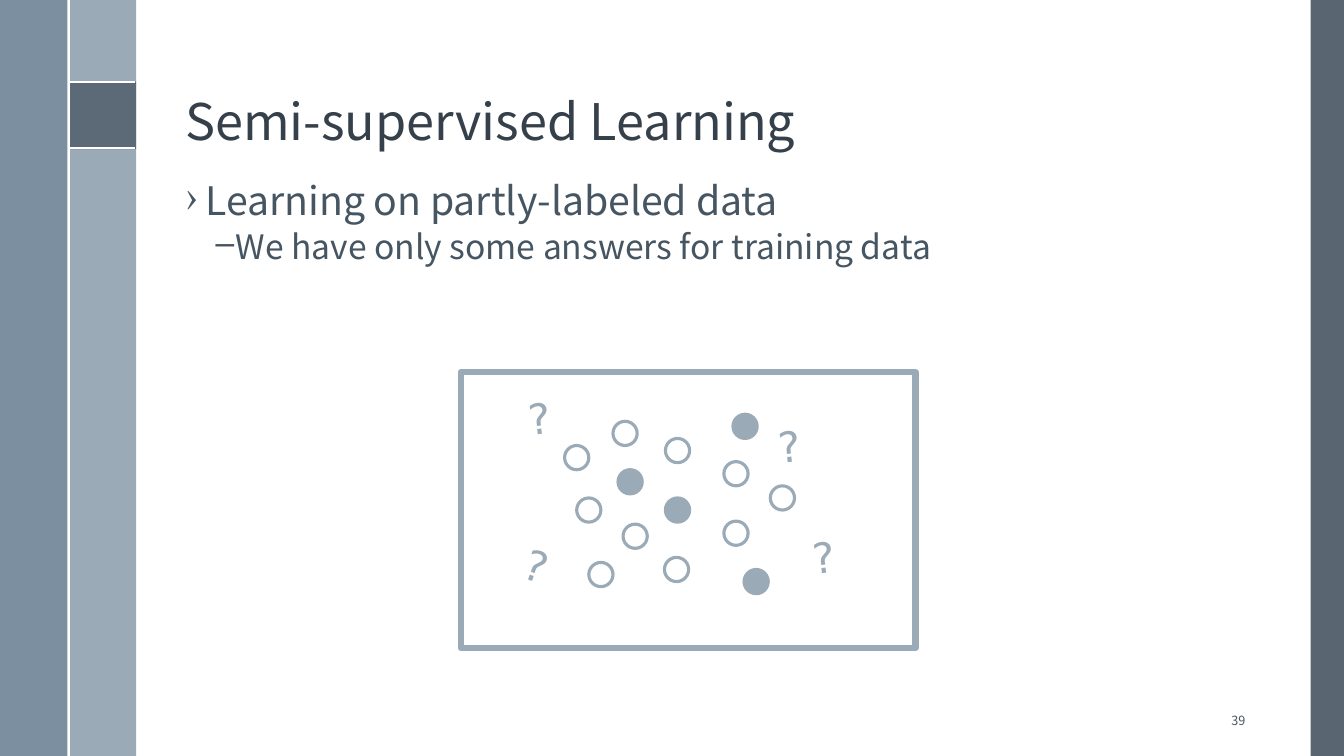
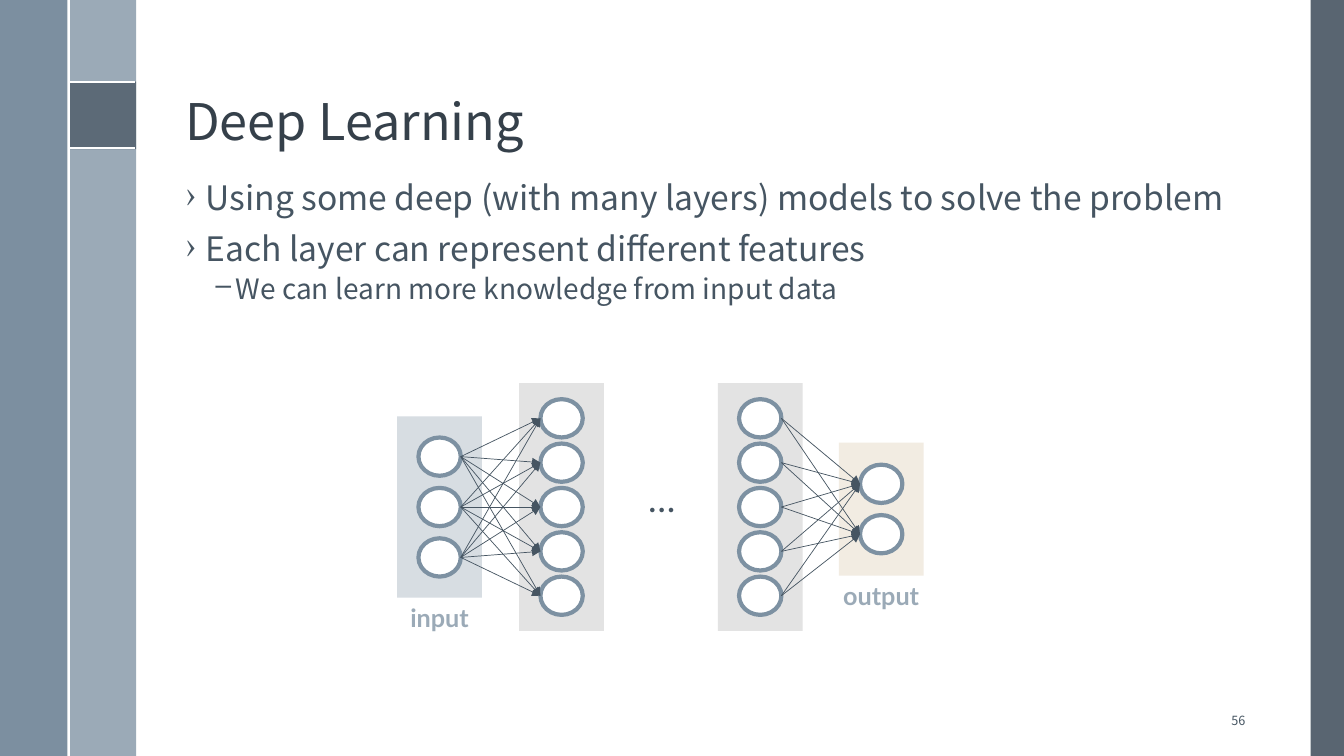
from pptx import Presentation
from pptx import util as u
from pptx.dml.color import RGBColor
from pptx.enum import shapes, text
from pptx.oxml.ns import qn
from lxml import etree

# Shared look
BODY_FONT, SYMBOL_FONT, LABEL_FONT = "Noto Sans CJK TC", "DejaVu Sans", "Lato"
TITLE, INK, MIST, STEEL = "35404A", "465562", "9BAAB7", "7D91A2"
DARK, BLUE, WHITE = "475562", "6A8093", "FFFFFF"
BANDS = [  # left, top, width, height, colour, opacity in percent
    (13, 0, 0.33, 7.5, DARK, 90),
    (0.68, 0, 0.67, 7.5, MIST, 100),
    (0, 0, 0.67, 7.5, BLUE, 88),
    (0.68, 0.81, 0.67, 0.67, DARK, 75),
]
RULES = [(0.68, 0.81, 1.34, 0.81), (0.68, 1.47, 1.34, 1.47), (0.68, 0, 0.68, 7.5)]
BULLETS = [  # by level: sign, left margin, space before
    ("›", 0.2, 10.5),
    ("–", 0.5, 4.5),
]

# Slide content: bullets are (level, size, wording)
SEMI = {
    "title": "Semi-supervised Learning",
    "number": "39",
    "bullets": [
        (0, 28, "Learning on partly-labeled data"),
        (1, 24, "We have only some answers for training data"),
    ],
}
DEEP = {
    "title": "Deep Learning",
    "number": "56",
    "bullets": [
        (0, 24, "Using some deep (with many layers) models to solve the problem"),
        (0, 24, "Each layer can represent different features"),
        (1, 20, "We can learn more knowledge from input data"),
    ],
}

# Data points of the scatter: left, top
DOT = 0.24
UNLABELED = [(5.6, 4.42), (6.08, 4.18), (5.72, 4.94), (6.18, 5.2), (6.6, 4.35),
             (5.84, 5.58), (6.59, 5.53), (7.18, 4.58), (7.18, 5.17), (7.64, 4.82)]
LABELED = [(6.13, 4.66), (6.6, 4.94), (7.27, 4.11), (7.38, 5.65)]
QUESTIONS = [(5.14, 3.84, 354), (7.96, 5.22, 354), (7.62, 4.12, 354), (5.11, 5.31, 18.7)]

# Network layers: panel left, middle, height, fill, node count, node pitch, label
LAYERS = [
    (3.94, 5.03, 1.8, "D7DDE2", 3, 0.5, "input"),
    (5.15, 5.03, 2.46, "E3E3E3", 5, 0.44, None),
    (7.12, 5.03, 2.46, "E3E3E3", 5, 0.44, None),
    (8.32, 5.05, 1.32, "F2ECE2", 2, 0.5, "output"),
]
LINKS = [(0, 1), (2, 3)]
PANEL_W, NODE_W, NODE_H = 0.84, 0.42, 0.38


def rgb(value):
    return RGBColor.from_string(value)


def add_block(page, kind, at, fill=None, line=None, width=1, opacity=100):
    shape = page.shapes.add_shape(kind, *map(u.Inches, at))
    shape.shadow.inherit = False
    if fill:
        shape.fill.solid()
        shape.fill.fore_color.rgb = rgb(fill)
        if opacity < 100:
            color = shape.fill._xPr.find(".//" + qn("a:srgbClr"))
            etree.SubElement(color, qn("a:alpha")).set("val", str(opacity * 1000))
    else:
        shape.fill.background()
    if line:
        shape.line.color.rgb = rgb(line)
        shape.line.width = u.Pt(width)
    else:
        shape.line.fill.background()
    return shape


def add_line(page, ends, color, width, arrow=False):
    line = page.shapes.add_connector(shapes.MSO_CONNECTOR.STRAIGHT, *map(u.Inches, ends))
    line.line.color.rgb = rgb(color)
    line.line.width = u.Pt(width)
    if arrow:
        etree.SubElement(line.line._get_or_add_ln(), qn("a:tailEnd")).set("type", "triangle")
    etree.SubElement(line._element.spPr, qn("a:effectLst"))


def add_box(page, at, anchor=text.MSO_ANCHOR.TOP, wrap=True):
    box = page.shapes.add_textbox(*map(u.Inches, at))
    box.text_frame.word_wrap = wrap
    box.text_frame.vertical_anchor = anchor
    return box


def write(para, wording, size, color, font=BODY_FONT, bold=False):
    span = para.add_run()
    span.text = wording
    span.font.color.rgb = rgb(color)
    for name, value in {"size": u.Pt(size), "name": font, "bold": bold}.items():
        setattr(span.font, name, value)


def add_label(page, at, wording, align, *style, anchor=text.MSO_ANCHOR.TOP):
    box = add_box(page, at, anchor, wrap=False)
    para = box.text_frame.paragraphs[0]
    para.alignment = align
    write(para, wording, *style)
    return box


def add_bullets(page, bullets):
    frame = add_box(page, (1.74, 1.75, 10.7, 5)).text_frame
    for index, (level, size, wording) in enumerate(bullets):
        para = frame.add_paragraph() if index else frame.paragraphs[0]
        sign, margin, before = BULLETS[level]
        values = {"level": level, "line_spacing": 0.9, "space_before": u.Pt(before if index else 0)}
        for name, value in values.items():
            setattr(para, name, value)
        props = para._p.get_or_add_pPr()
        props.set("marL", str(u.Inches(margin)))
        props.set("indent", str(u.Inches(-0.2)))
        etree.SubElement(props, qn("a:buChar")).set("char", sign)
        write(para, wording, size, INK)


def add_page(deck, content):
    page = deck.slides.add_slide(deck.slide_layouts[6])
    # Side bands and white rules
    for *at, color, opacity in BANDS:
        add_block(page, shapes.MSO_SHAPE.RECTANGLE, at, color, opacity=opacity)
    for ends in RULES:
        add_line(page, ends, WHITE, 1.5)
    # Title, bullets, slide number
    title = add_box(page, (1.74, 0.19, 10.7, 1.36), text.MSO_ANCHOR.BOTTOM)
    para = title.text_frame.paragraphs[0]
    para.line_spacing = 0.9
    write(para, content["title"], 36, TITLE)
    add_bullets(page, content["bullets"])
    add_label(page, (11.78, 6.95, 0.67, 0.4), content["number"], text.PP_ALIGN.RIGHT,
              9, INK, anchor=text.MSO_ANCHOR.MIDDLE)
    return page


def draw_scatter(page):
    add_block(page, shapes.MSO_SHAPE.RECTANGLE, (4.57, 3.69, 4.51, 2.74), line=MIST, width=4.5)
    for dots, fill in ((UNLABELED, None), (LABELED, MIST)):
        for left, top in dots:
            add_block(page, shapes.MSO_SHAPE.OVAL, (left, top, DOT, DOT), fill, MIST, 2.25)
    for left, top, angle in QUESTIONS:
        mark = add_label(page, (left, top, 0.43, 0.61), "?", text.PP_ALIGN.LEFT,
                         30, MIST, SYMBOL_FONT)
        mark.rotation = angle


def draw_network(page):
    # Panels, nodes and labels
    columns = []
    for left, middle, height, fill, count, pitch, label in LAYERS:
        top, center = middle - height / 2, left + PANEL_W / 2
        add_block(page, shapes.MSO_SHAPE.RECTANGLE, (left, top, PANEL_W, height), fill)
        levels = [middle + (i - (count - 1) / 2) * pitch for i in range(count)]
        for level in levels:
            at = (center - NODE_W / 2, level - NODE_H / 2, NODE_W, NODE_H)
            add_block(page, shapes.MSO_SHAPE.OVAL, at, WHITE, STEEL, 3)
        if label:
            add_label(page, (center - 0.5, top + height, 1, 0.4), label,
                      text.PP_ALIGN.CENTER, 18, MIST, LABEL_FONT, True)
        columns.append((center, levels))
    add_label(page, (6.28, 4.67, 0.57, 0.54), "…", text.PP_ALIGN.CENTER,
              26, INK, LABEL_FONT, anchor=text.MSO_ANCHOR.MIDDLE)
    # Arrows from every node to every node of the next layer
    for source, target in LINKS:
        (start, start_levels), (end, end_levels) = columns[source], columns[target]
        for y1 in start_levels:
            for y2 in end_levels:
                ends = (start + NODE_W / 2, y1, end - NODE_W / 2, y2)
                add_line(page, ends, INK, 0.5, arrow=True)


def main():
    deck = Presentation()
    deck.slide_width, deck.slide_height = u.Inches(13.33), u.Inches(7.5)
    draw_scatter(add_page(deck, SEMI))
    draw_network(add_page(deck, DEEP))
    deck.save("out.pptx")


if __name__ == "__main__":
    main()
